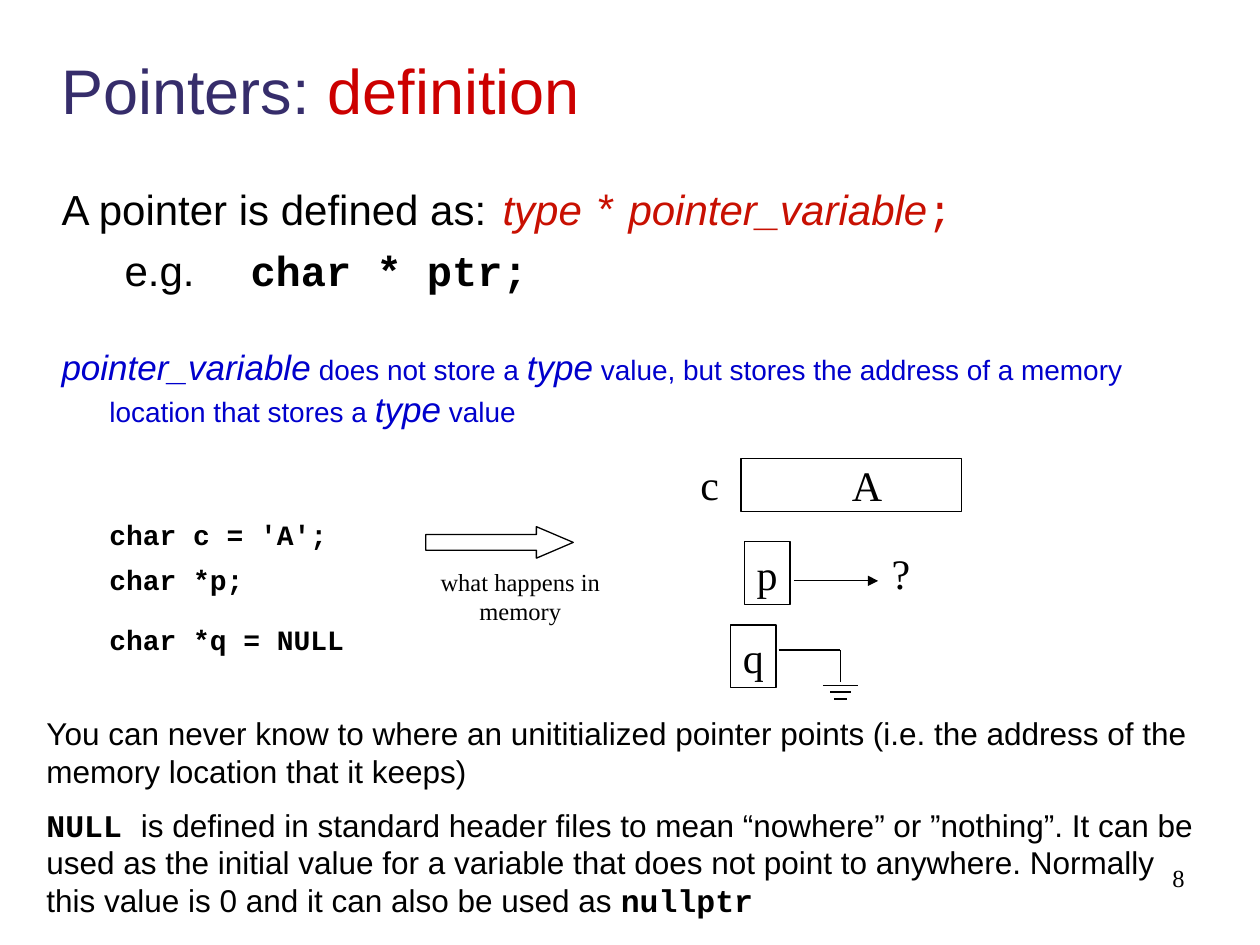
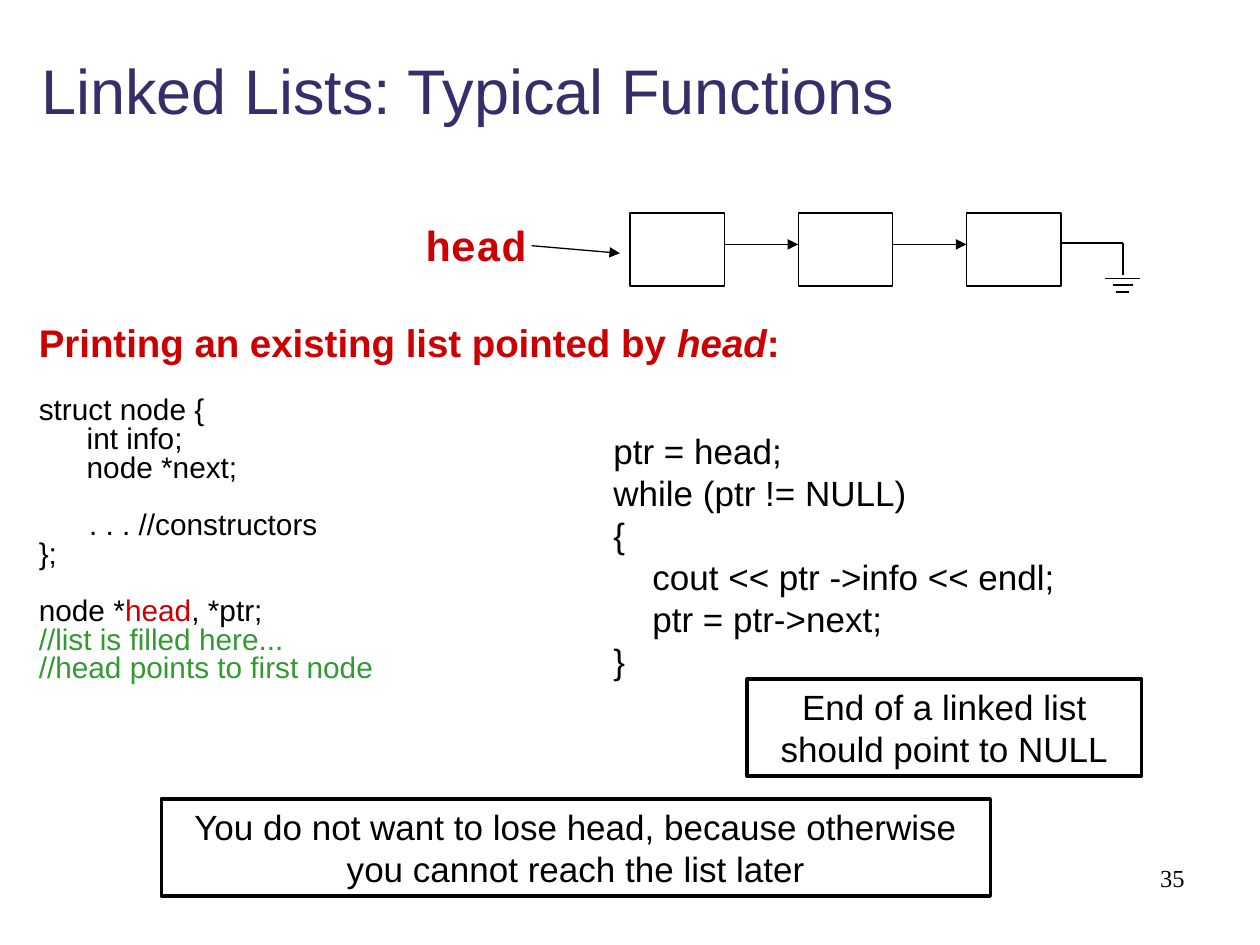
from lxml import etree
from pptx import Presentation
from pptx import util as u
from pptx.dml.color import RGBColor
from pptx.enum import shapes, text
from pptx.oxml.ns import qn

COLORS = {"title": "362D6B", "red": "CC0000", "syntax": "C81002", "blue": "0000CC",
          "comment": "339933", "black": "000000", "white": "FFFFFF"}
SANS, MONO, SERIF = "Arial", "Courier New", "Times New Roman"
LEFT, CENTER, RIGHT = text.PP_ALIGN.LEFT, text.PP_ALIGN.CENTER, text.PP_ALIGN.RIGHT
TOP, MIDDLE = text.MSO_ANCHOR.TOP, text.MSO_ANCHOR.MIDDLE
RECT, ARROW = shapes.MSO_SHAPE.RECTANGLE, shapes.MSO_SHAPE.RIGHT_ARROW


def rgb(name):
    return RGBColor.from_string(COLORS[name])


def inches(*lengths):
    return [u.Inches(n) for n in lengths]


def para(*runs, before=0, indent=0, hang=0, tabs=()):
    """Describe a paragraph; a run is a string or (string, overrides)."""
    return dict(runs=runs, before=before, indent=indent, hang=hang, tabs=tabs)


def format_run(r, font=SANS, size=18, color="black", bold=False, italic=False):
    r.font.name, r.font.size = font, u.Pt(size)
    r.font.bold, r.font.italic = bold, italic
    r.font.color.rgb = rgb(color)


def write(tf, paras, align=LEFT, anchor=TOP, wrap=True, spacing=None, **style):
    """Fill a text frame; style holds the defaults of every run."""
    tf.word_wrap, tf.vertical_anchor = wrap, anchor
    for i, item in enumerate(paras):
        item = para(item) if isinstance(item, str) else item
        p = tf.paragraphs[0] if i == 0 else tf.add_paragraph()
        p.alignment, p.space_before = align, u.Pt(item["before"])
        if spacing:
            p.line_spacing = u.Pt(spacing)
        pPr = p._p.get_or_add_pPr()
        pPr.set("marL", str(u.Inches(item["indent"])))
        pPr.set("indent", str(-u.Inches(item["hang"])))
        if item["tabs"]:
            tab_list = etree.SubElement(pPr, qn("a:tabLst"))
            for stop in item["tabs"]:
                etree.SubElement(tab_list, qn("a:tab"), pos=str(u.Inches(stop)), algn="l")
        for run in item["runs"]:
            words, changes = (run, {}) if isinstance(run, str) else run
            r = p.add_run()
            r.text = words
            format_run(r, **{**style, **changes})


def add_text(s, box, *paras, **style):
    write(s.shapes.add_textbox(*inches(*box)).text_frame, paras, **style)


def add_box(s, box, *paras, kind=RECT, fill=None, line=0.75, **style):
    sp = s.shapes.add_shape(kind, *inches(*box))
    sp.shadow.inherit = False
    if fill:
        sp.fill.solid()
        sp.fill.fore_color.rgb = rgb(fill)
    else:
        sp.fill.background()
    sp.line.color.rgb, sp.line.width = rgb("black"), u.Pt(line)
    if paras:
        write(sp.text_frame, paras, align=CENTER, **style)
    return sp


def add_line(s, x1, y1, x2, y2, width=1, arrow=False):
    c = s.shapes.add_connector(shapes.MSO_CONNECTOR.STRAIGHT, *inches(x1, y1, x2, y2))
    c.line.color.rgb, c.line.width = rgb("black"), u.Pt(width)
    if arrow:
        etree.SubElement(c.line._get_or_add_ln(), qn("a:tailEnd"), type="triangle")
    etree.SubElement(c._element.spPr, qn("a:effectLst"))


def add_pointer(s, *ends):
    add_line(s, *ends, width=0.75, arrow=True)


def add_null(s, x, y):
    """Draw a NULL pointer: a wire from (x, y) down to a ground symbol."""
    drop = x + 0.49
    add_line(s, x, y, drop, y)
    add_line(s, drop, y, drop, y + 0.25)
    for dy, half in ((0.28, 0.14), (0.33, 0.08), (0.39, 0.05)):
        add_line(s, drop - half, y + dy, drop + half, y + dy)


def add_slide(prs, number, left, *title):
    s = prs.slides.add_slide(prs.slide_layouts[6])
    add_text(s, (left, 0.17, 9.3, 1.08), para(*title), anchor=MIDDLE, size=36, color="title")
    add_text(s, (7.42, 6.8, 2.08, 0.5), number, align=RIGHT, font=SERIF, size=14)
    return s


def add_note(s, box, words):
    add_box(s, box, words, fill="white", line=2, size=20)


def pointers_slide(prs):
    s = add_slide(prs, "8", 0.39, "Pointers: ", ("definition", {"color": "red"}))
    syntax = {"size": 24, "color": "syntax"}
    symbol = {**syntax, "font": MONO}
    name = {**syntax, "italic": True}
    term = {"size": 20, "italic": True, "color": "blue"}
    prose = {"size": 16, "color": "blue"}
    code = {"font": MONO, "size": 16, "bold": True}
    add_text(
        s, (0.39, 1.41, 9.3, 4.1),
        para("A pointer is defined as:\t", ("type ", name), ("*", symbol),
             ("\tpointer_variable", name), (";", symbol), before=6, tabs=(3.64, 4.85)),
        para("\te.g.\t", ("char * ptr;", {"font": MONO, "bold": True}),
             before=6, tabs=(2.4, 3.62)),
        para(("pointer_variable", term), (" does not store a ", prose), ("type", term),
             (" value, but stores the address of a memory location that stores a ", prose),
             ("type", term), (" value", prose), before=29, indent=0.38, hang=0.38),
        para(("char c = 'A';", code), before=50, indent=0.38),
        para(("char *p;", code), before=6.5, indent=0.38),
        para(("char *q = NULL", code), before=15, indent=0.38), size=24)

    keyword = {"font": MONO, "bold": True}
    add_text(
        s, (0.27, 5.62, 9.45, 1.74),
        "You can never know to where an unititialized pointer points "
        "(i.e. the address of the memory location that it keeps)",
        para(("NULL ", keyword),
             "is defined in standard header files to mean “nowhere” or ”nothing”. It can be "
             "used as the initial value for a variable that does not point to anywhere. "
             "Normally this value is 0 and it can also be used as ",
             ("nullptr", keyword), before=9))

    arrow = add_box(s, (3.38, 4.18, 1.17, 0.25), kind=ARROW)
    arrow.adjustments[1] = 1.17
    add_text(s, (3.05, 4.45, 2.16, 0.34), "what happens in memory",
             align=CENTER, wrap=False, font=SERIF, size=14)

    label = {"font": SERIF, "size": 24}
    add_text(s, (5.46, 3.59, 0.4, 0.5), "c", **label)
    value = add_box(s, (5.88, 3.64, 1.75, 0.42), "A", anchor=MIDDLE, **label)
    value.text_frame.margin_left = u.Inches(0.35)
    for variable, x, y in (("p", 5.91, 4.3), ("q", 5.8, 4.96)):
        add_box(s, (x, y, 0.36, 0.5), variable, anchor=MIDDLE, wrap=False, **label)
    add_pointer(s, 6.3, 4.61, 6.97, 4.61)
    add_text(s, (6.93, 4.3, 0.44, 0.5), "?", align=CENTER, **label)
    add_null(s, 6.18, 5.16)


def linked_lists_slide(prs):
    s = add_slide(prs, "35", 0.23, "Linked Lists: Typical Functions")
    node_w, pitch, first = 0.75, 1.335, 5
    nodes = [first + i * pitch for i in range(3)]
    for x in nodes:
        add_box(s, (x, 1.69, node_w, 0.58))
    for x, following in zip(nodes, nodes[1:]):
        add_pointer(s, x + node_w, 1.94, following, 1.94)
    add_null(s, nodes[-1] + node_w, 1.93)
    add_text(s, (3.28, 1.69, 1.08, 0.5), "head", wrap=False,
             font=MONO, size=24, color="red", bold=True)
    add_pointer(s, 4.22, 1.95, 4.92, 2.01)

    add_text(s, (0.21, 2.48, 9.3, 0.45),
             para("Printing an existing list pointed by ", ("head", {"italic": True}), ":"),
             size=22, color="red", bold=True)
    pitch_pt = 16.4
    comment = {"color": "comment"}
    add_text(
        s, (0.21, 3.11, 4.4, 2.6),
        "struct node {",
        para("int info;", indent=0.38),
        para("node *next;", indent=0.38),
        para(". . . //constructors", indent=0.4, before=pitch_pt),
        "};",
        para("node *", ("head", {"color": "red"}), ", *ptr;", before=pitch_pt),
        para(("//list is filled here...", comment)),
        para(("//head points to first node", comment)), size=17, spacing=pitch_pt)
    add_text(
        s, (4.77, 3.36, 5, 2.1),
        "ptr = head;", "while (ptr != NULL)", "{",
        para("cout << ptr ->info << endl;", indent=0.31),
        para("ptr = ptr->next;", indent=0.31), "}", size=20)

    add_note(s, (5.93, 5.39, 3.13, 0.77), "End of a linked list should point to NULL")
    add_note(s, (1.28, 6.34, 6.58, 0.77),
             "You do not want to lose head, because otherwise you cannot reach the list later")


def main():
    prs = Presentation()
    prs.slide_width, prs.slide_height = inches(10, 7.5)
    pointers_slide(prs)
    linked_lists_slide(prs)
    prs.save("out.pptx")


if __name__ == "__main__":
    main()
